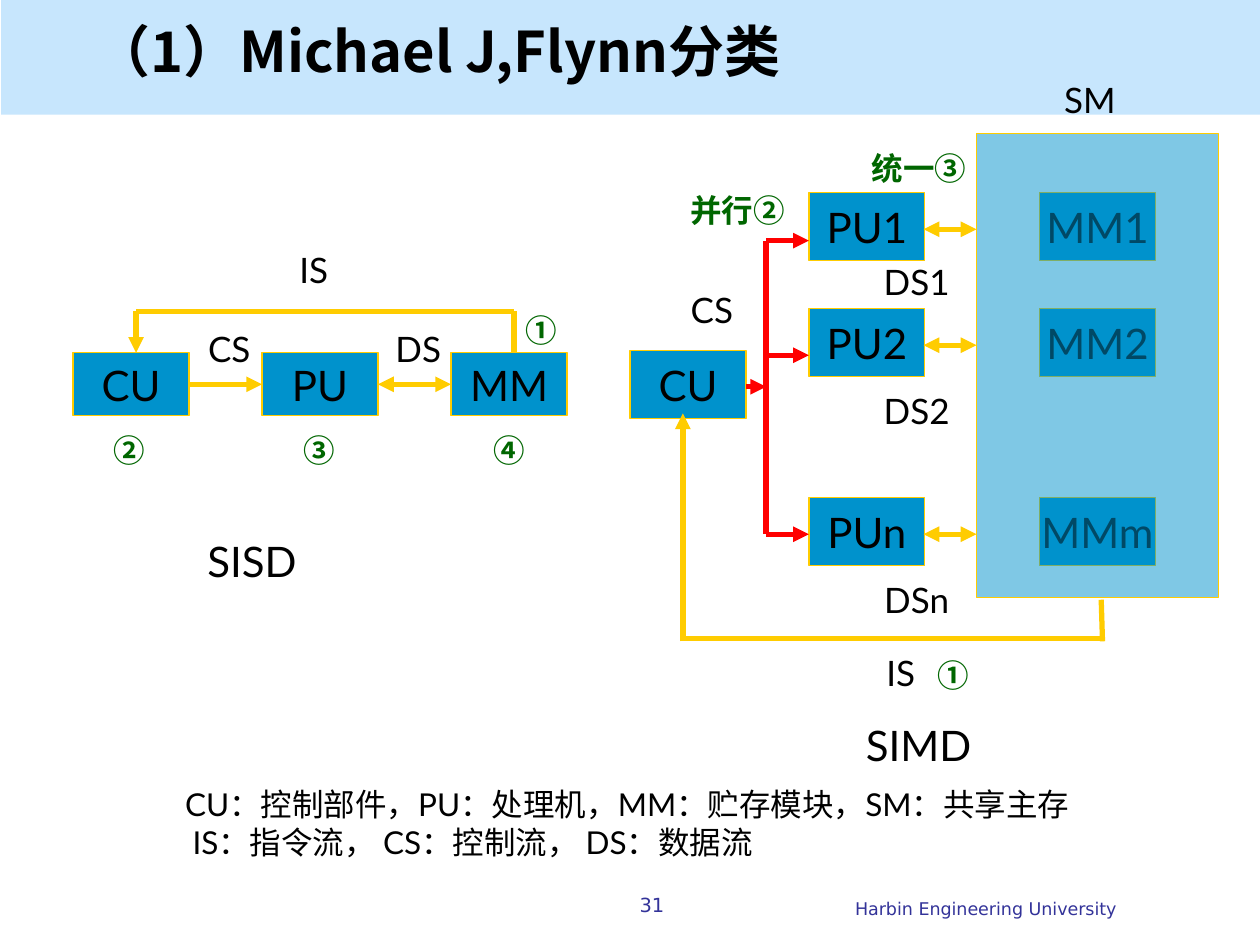
from dataclasses import dataclass

from lxml.etree import SubElement
from pptx import Presentation
from pptx.dml.color import RGBColor
from pptx.enum.shapes import MSO_CONNECTOR, MSO_SHAPE
from pptx.enum.text import MSO_ANCHOR, PP_ALIGN
from pptx.oxml.ns import qn
from pptx.util import Inches, Pt


@dataclass(frozen=True)
class Theme:
    banner: str = "C7E6FD"
    navy: str = "333399"
    blue: str = "0092CC"
    gold: str = "FFCC00"
    red: str = "FF0000"
    green: str = "006600"
    black: str = "000000"
    latin: str = "Lato"
    cjk: str = "Noto Sans CJK SC"
    footer: str = "DejaVu Sans"
    title_pt: float = 32
    box_pt: float = 24
    label_pt: float = 20
    note_pt: float = 18
    page_pt: float = 11.1
    school_pt: float = 10


T = Theme()

prs = Presentation()
prs.slide_width, prs.slide_height = Inches(10), Inches(7.5)
s = prs.slides.add_slide(prs.slide_layouts[6])


def put_text(at, text, size, color=T.black, font=T.latin, bold=False,
             align=PP_ALIGN.CENTER, wrap=True, fill=None, line=None):
    """Add a text box, or a rectangle when a fill is given."""
    place = [Inches(v) for v in at]
    if fill:
        sp = s.shapes.add_shape(MSO_SHAPE.RECTANGLE, *place)
        sp.shadow.inherit = False
        sp.fill.solid()
        sp.fill.fore_color.rgb = RGBColor.from_string(fill)
        if line:
            sp.line.color.rgb = RGBColor.from_string(line)
            sp.line.width = Pt(0.75)
        else:
            sp.line.fill.background()
    else:
        sp = s.shapes.add_textbox(*place)
    tf = sp.text_frame
    tf.word_wrap = wrap
    tf.vertical_anchor = MSO_ANCHOR.MIDDLE if fill else MSO_ANCHOR.TOP
    tf.text = text
    for p in tf.paragraphs:
        p.alignment = align
        p.font.size = Pt(size)
        p.font.bold = bold
        p.font.color.rgb = RGBColor.from_string(color)
        p.font.name = font
        defaults = p._p.pPr.find(qn("a:defRPr"))
        SubElement(defaults, qn("a:ea"), typeface=T.cjk)
    return sp


def connect(x1, y1, x2, y2, color=T.gold, ends=""):
    """Draw a line; ends lists the a:ln ends that carry arrowheads."""
    c = s.shapes.add_connector(MSO_CONNECTOR.STRAIGHT, *map(Inches, (x1, y1, x2, y2)))
    c.line.color.rgb = RGBColor.from_string(color)
    c.line.width = Pt(3)
    for end in ends.split():
        SubElement(c.line._get_or_add_ln(), qn(f"a:{end}"), type="triangle")
    SubElement(c._element.spPr, qn("a:effectLst"))


TO, BOTH = "tailEnd", "headEnd tailEnd"
BOX_W = 0.92

# Banner, footer and title
put_text((0.01, 0, 9.99, 0.91), "", T.note_pt, fill=T.banner)
put_text((4.63, 7.08, 4.33, 0.33), "Harbin Engineering University", T.school_pt,
         T.navy, T.footer, align=PP_ALIGN.RIGHT)
page = put_text((4.01, 7.06, 2.33, 0.33), "31", T.page_pt, T.navy, T.footer)
page.text_frame.paragraphs[0].line_spacing = 0.9
put_text((0.65, 0.08, 8.58, 0.67), "（1）Michael J,Flynn分类", T.title_pt,
         font=T.cjk, bold=True, align=PP_ALIGN.LEFT)

# SISD: three units in a row, with the instruction stream looping back
for i, name in enumerate(("CU", "PU", "MM")):
    put_text((0.58 + 1.5 * i, 2.8, BOX_W, 0.5), name, T.box_pt, wrap=False,
             fill=T.blue, line=T.gold)
connect(1.5, 3.05, 2.08, 3.05, ends=TO)
connect(3, 3.05, 3.58, 3.05, ends=BOTH)
connect(4.08, 2.8, 4.08, 2.47)
connect(4.08, 2.47, 1.08, 2.47)
connect(1.08, 2.47, 1.08, 2.8, ends=TO)

# SIMD: one control unit drives parallel processors on a shared memory
put_text((5, 2.78, BOX_W, 0.54), "CU", T.box_pt, wrap=False, fill=T.blue, line=T.gold)
rows = (("1", "1", 1.53), ("2", "2", 2.45), ("n", "m", 3.95))
for pu, mm, top in rows:
    for left, name in ((6.42, f"PU{pu}"), (8.25, f"MM{mm}")):
        put_text((left, top, BOX_W, 0.54), name, T.box_pt, wrap=False,
                 fill=T.blue, line=T.gold)
memory = put_text((7.75, 1.06, 1.92, 3.68), "", T.box_pt, fill=T.blue, line=T.gold)
memory_color = memory._element.spPr.find(f"{qn('a:solidFill')}/{qn('a:srgbClr')}")
SubElement(memory_color, qn("a:alpha"), val="50000")

connect(5.92, 3.07, 6.08, 3.07, T.red, TO)
connect(6.08, 4.24, 6.08, 1.91, T.red)
for control_y, data_y in ((1.91, 1.82), (2.82, 2.74), (4.24, 4.24)):
    connect(6.08, control_y, 6.42, control_y, T.red, TO)
    connect(7.33, data_y, 7.75, data_y, ends=BOTH)
connect(8.75, 5.09, 8.74, 4.76)
connect(8.75, 5.07, 5.42, 5.07)
connect(5.42, 5.09, 5.42, 3.28, ends=TO)

# Stream labels
for left, top, width, label in (
    (1.5, 2.55, 0.64, "CS"), (3, 2.55, 0.64, "DS"), (2.17, 1.92, 0.64, "IS"),
    (6.83, 2.02, 0.89, "DS1"), (6.83, 3.04, 0.89, "DS2"), (6.83, 4.54, 0.89, "DSn"),
    (5.33, 2.24, 0.64, "CS"), (6.83, 5.12, 0.64, "IS"), (8.33, 0.57, 0.64, "SM"),
):
    put_text((left, top, width, 0.44), label, T.label_pt)

for left, top, width, name in ((1.54, 4.2, 0.92, "SISD"), (6.77, 5.66, 1.04, "SIMD")):
    put_text((left, top, width, 0.5), name, T.box_pt, wrap=False)

# Numbered steps
for left, top, width, step in (
    (4.07, 2.42, 0.45, "①"), (0.8, 3.37, 0.45, "②"), (2.31, 3.37, 0.45, "③"),
    (3.82, 3.37, 0.45, "④"), (7.34, 5.16, 0.45, "①"),
    (5.38, 1.47, 0.95, "并行②"), (6.82, 1.13, 0.95, "统一③"),
):
    put_text((left, top, width, 0.4), step, T.note_pt, T.green, T.cjk, True,
             PP_ALIGN.LEFT, wrap=False)

# Legend, its second line slightly indented
legend = put_text((1.37, 6.18, 7.58, 1),
                  "CU：控制部件，PU：处理机，MM：贮存模块，SM：共享主存\n"
                  "IS：指令流， CS：控制流， DS：数据流",
                  T.note_pt, align=PP_ALIGN.LEFT)
legend.text_frame.paragraphs[1]._p.pPr.set("indent", str(Inches(0.06)))

prs.save("out.pptx")
